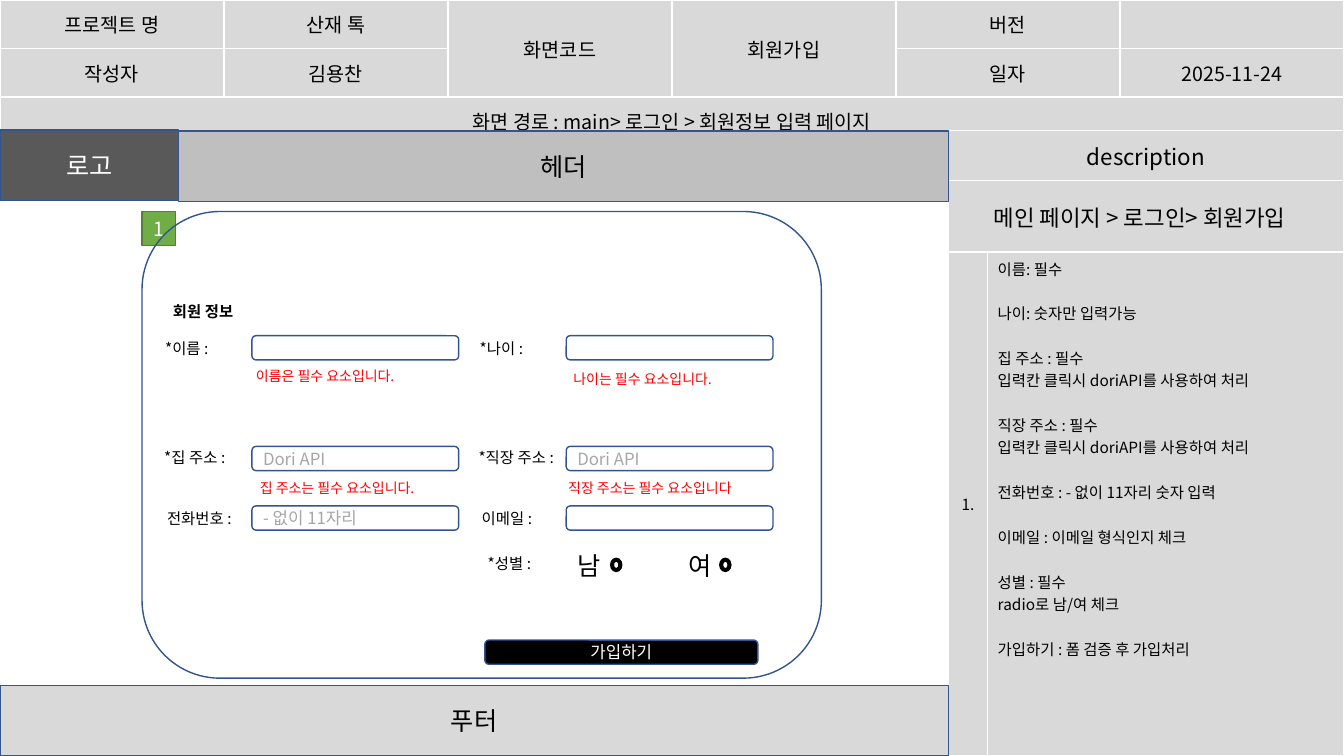
from dataclasses import dataclass
from lxml.etree import SubElement
from pptx import Presentation
from pptx.dml.color import RGBColor
from pptx.enum.shapes import MSO_SHAPE
from pptx.enum.text import MSO_ANCHOR, PP_ALIGN
from pptx.oxml.ns import qn
from pptx.util import Cm, Pt

FACE = "Noto Sans CJK KR"
GREY = "D9D9D9"
BLUE = "325491"
RECT, ROUND, DONUT = MSO_SHAPE.RECTANGLE, MSO_SHAPE.ROUNDED_RECTANGLE, MSO_SHAPE.DONUT
LEFT, MID = PP_ALIGN.LEFT, PP_ALIGN.CENTER


@dataclass
class Block:
    x: float
    y: float
    w: float
    h: float
    kind: MSO_SHAPE = RECT
    fill: str | None = None
    line: str = BLUE
    text: str = ""
    size: int = 18
    color: str = "000000"
    align: PP_ALIGN = MID


@dataclass
class Label:
    text: str
    x: float
    y: float
    w: float = 2.41
    h: float = 0.74
    size: int = 11
    color: str = "000000"
    bold: bool = False


def paint(target, tone: str) -> None:
    target.solid()
    target.fore_color.rgb = RGBColor.from_string(tone)


def write(para, text: str, size: int, color: str = "000000",
          align: PP_ALIGN = LEFT, bold: bool = False) -> None:
    para.alignment = align
    run = para.add_run()
    run.text = text
    style = {"name": FACE, "size": Pt(size), "bold": bold}
    for key, value in style.items():
        setattr(run.font, key, value)
    paint(run.font.fill, color)
    SubElement(run.font._element, qn("a:ea"), typeface=FACE)


def draw(slide, block: Block) -> None:
    shape = slide.shapes.add_shape(
        block.kind, Cm(block.x), Cm(block.y), Cm(block.w), Cm(block.h))
    shape.shadow.inherit = False
    if block.fill:
        paint(shape.fill, block.fill)
    else:
        shape.fill.background()
    paint(shape.line.fill, block.line)
    shape.line.width = Pt(1)
    if block.text:
        frame = shape.text_frame
        frame.vertical_anchor = MSO_ANCHOR.MIDDLE
        write(frame.paragraphs[0], block.text, block.size, block.color, block.align)


def note(slide, label: Label) -> None:
    box = slide.shapes.add_textbox(
        Cm(label.x), Cm(label.y), Cm(label.w), Cm(label.h))
    frame = box.text_frame
    form = {"word_wrap": True, "margin_right": 0}
    for key, value in form.items():
        setattr(frame, key, value)
    write(frame.paragraphs[0], label.text, label.size, label.color, bold=label.bold)


def grid(slide, rows: int, cols: int, x: float, y: float, w: float, h: float):
    table = slide.shapes.add_table(rows, cols, Cm(x), Cm(y), Cm(w), Cm(h)).table
    for cell in table.iter_cells():
        paint(cell.fill, GREY)
    return table


def top(slide) -> None:
    table = grid(slide, 3, 6, 0, 0, 33.87, 3.28)
    texts = [
        ["프로젝트 명", "산재 톡", "화면코드", "회원가입", "버전", ""],
        ["작성자", "김용찬", "", "", "일자", "2025-11-24"],
        ["화면 경로 : main> 로그인 > 회원정보 입력 페이지"],
    ]
    for col in (2, 3):
        table.cell(0, col).merge(table.cell(1, col))
        table.cell(0, col).vertical_anchor = MSO_ANCHOR.MIDDLE
    table.cell(2, 0).merge(table.cell(2, 5))
    for row, line in enumerate(texts):
        for col, text in enumerate(line):
            if text:
                cell = table.cell(row, col)
                for side in ("left", "top", "right", "bottom"):
                    setattr(cell, f"margin_{side}", Cm(0.25))
                write(cell.text_frame.paragraphs[0], text, 14, align=MID)


def side(slide) -> None:
    table = grid(slide, 3, 2, 23.9, 3.28, 9.96, 15.77)
    for col, width in zip(table.columns, (0.99, 8.97)):
        col.width = Cm(width)
    for row, height in zip(table.rows, (1.27, 1.8, 12.7)):
        row.height = Cm(height)
    heads = [("description", 16), ("메인 페이지 > 로그인> 회원가입", 16), ("1.", 11)]
    for row, (text, size) in enumerate(heads):
        cell = table.cell(row, 0)
        if row < 2:
            cell.merge(table.cell(row, 1))
        cell.vertical_anchor = MSO_ANCHOR.MIDDLE
        write(cell.text_frame.paragraphs[0], text, size, align=MID)
    table.cell(1, 0).margin_right = Cm(0.58)
    groups = [
        ["이름: 필수"],
        ["나이: 숫자만 입력가능"],
        ["집 주소 : 필수", "입력칸 클릭시 doriAPI를 사용하여 처리"],
        ["직장 주소 : 필수", "입력칸 클릭시 doriAPI를 사용하여 처리"],
        ["전화번호 : - 없이 11자리 숫자 입력"],
        ["이메일 : 이메일 형식인지 체크"],
        ["성별 : 필수", "radio로 남/여 체크"],
        ["가입하기 : 폼 검증 후 가입처리"],
    ]
    frame = table.cell(2, 1).text_frame
    for step, group in enumerate(groups):
        for turn, text in enumerate(group):
            first = step + turn == 0
            para = frame.paragraphs[0] if first else frame.add_paragraph()
            if step and not turn:
                para.space_before = Pt(16)
            write(para, text, 11)


def main() -> None:
    deck = Presentation()
    deck.slide_width, deck.slide_height = Cm(33.87), Cm(19.05)
    slide = deck.slides.add_slide(deck.slide_layouts[6])
    top(slide)
    side(slide)

    hints = [(8.46, "", ""), (11.25, "Dori API", "Dori API"),
             (12.75, "- 없이 11자리", "")]
    fields = [
        Block(x, y, 5.21, 0.61, ROUND, "FFFFFF", text=hint, size=12,
              color="A6A6A6", align=LEFT)
        for y, *pair in hints for x, hint in zip((6.35, 14.27), pair)
    ]
    rings = [Block(x, 14.07, 0.28, 0.33, DONUT, "000000", "000000")
             for x in (15.39, 18.14)]
    blocks = [
        Block(4.5, 3.3, 19.4, 1.78, fill="BFBFBF", text="헤더"),
        Block(0, 3.28, 4.5, 1.78, fill="595959", text="로고", color="FFFFFF"),
        Block(0, 17.27, 23.9, 1.78, fill=GREY, text="푸터"),
        Block(3.58, 5.33, 0.84, 0.86, fill="70AD47", line="538035",
              text="1", size=14, color="FFFFFF"),
        *fields,
        Block(3.58, 5.33, 17.12, 11.76, ROUND),
        *rings,
        Block(12.22, 16.13, 6.88, 0.61, ROUND, "000000", text="가입하기",
              size=12, color="FFFFFF"),
    ]
    for block in blocks:
        draw(slide, block)

    faults = [("이름은 필수 요소입니다.", 6.2, 9.14),
              ("나이는 필수 요소입니다.", 14.2, 9.22),
              ("집 주소는 필수 요소입니다.", 6.3, 11.96),
              ("직장 주소는 필수 요소입니다", 14.07, 11.96)]
    labels = [
        Label("회원 정보", 4.11, 7.49, 2.77, bold=True),
        Label("*이름 :", 3.91, 8.41, 1.78),
        Label("*나이 :", 11.84, 8.41, 1.78),
        Label("*집 주소 :", 3.89, 11.18, 2.18),
        Label("*직장 주소 :", 11.81, 11.18, 2.51),
        Label("전화번호 :", 3.96, 12.7),
        Label("이메일 :", 11.89, 12.7),
        Label("*성별 :", 12.04, 13.84),
        Label("남", 14.3, 13.74, 0.91, 1.02, 18),
        Label("여", 17.09, 13.74, 1.42, 1.02, 18),
        *(Label(*fault, 11.2, 0.69, 10, "FF0000") for fault in faults),
    ]
    for label in labels:
        note(slide, label)
    deck.save("out.pptx")


if __name__ == "__main__":
    main()
